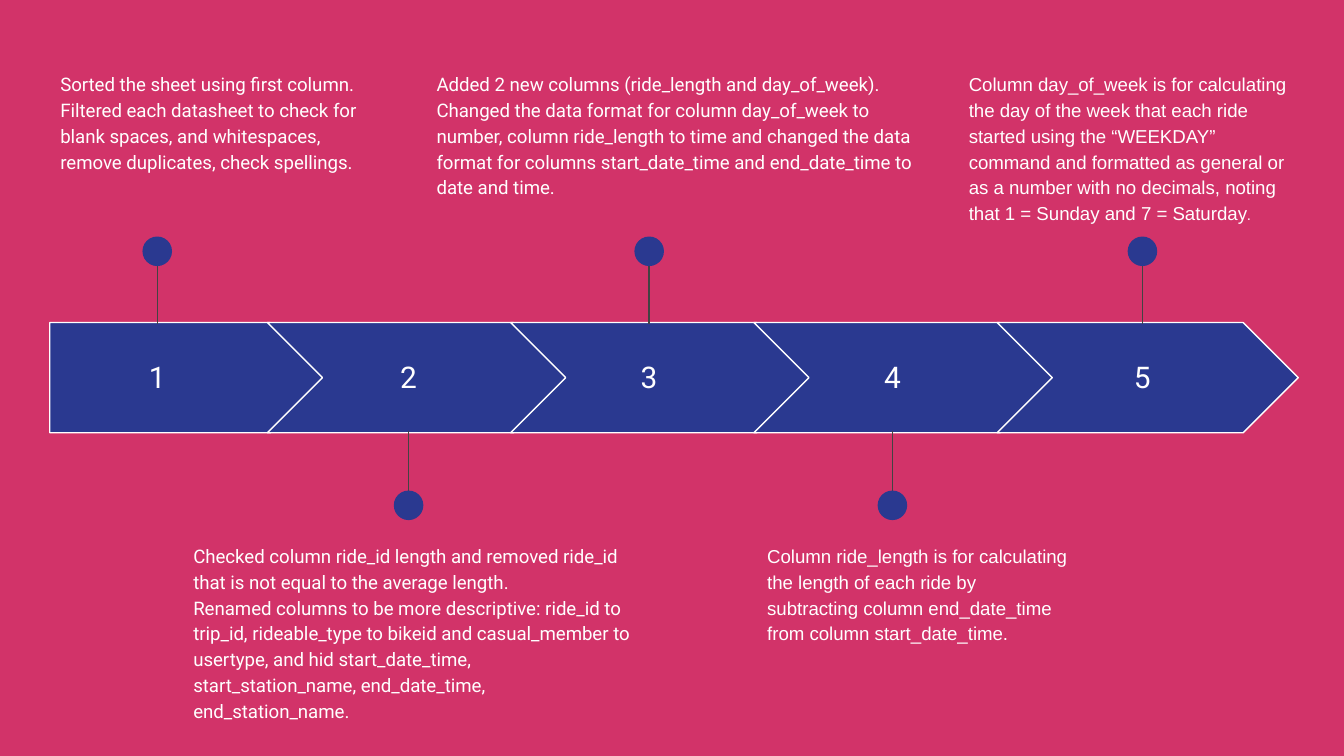
"""Build a five-step data cleaning timeline slide."""
from lxml.etree import SubElement
from pptx import Presentation
from pptx.dml.color import RGBColor
from pptx.enum.shapes import MSO_CONNECTOR, MSO_SHAPE
from pptx.enum.text import MSO_ANCHOR, PP_ALIGN
from pptx.oxml.ns import qn
from pptx.util import Inches, Pt

COLORS = {"background": "D23369", "step": "2A3990", "text": "FFFFFF", "stem": "434343"}

STEPS = [
    (1.17, True, (0.35, 2.45, 1.37), "Roboto", [
        "Sorted the sheet using first column. Filtered each datasheet to check for "
        "blank spaces, and whitespaces, remove duplicates, check spellings."]),
    (3.04, False, (1.34, 3.5, 1.53), "Roboto", [
        "Checked column ride_id length and removed ride_id that is not equal to the "
        "average length.",
        "Renamed columns to be more descriptive: ride_id to trip_id, rideable_type to "
        "bikeid and casual_member to usertype, and hid start_date_time, "
        "start_station_name, end_date_time, end_station_name."]),
    (4.83, True, (3.15, 3.8, 1.14), "Roboto", [
        "Added 2 new columns (ride_length and day_of_week). Changed the data format for "
        "column day_of_week to number, column ride_length to time and changed the data "
        "format for columns start_date_time and end_date_time to date and time."]),
    (6.64, False, (5.61, 2.45, 0.95), "Arial", [
        "Column ride_length is for calculating the length of each ride by subtracting "
        "column end_date_time from column start_date_time."]),
    (8.5, True, (7.11, 2.65, 1.76), "Arial", [
        "Column day_of_week is for calculating the day of the week that each ride started "
        "using the “WEEKDAY” command and formatted as general or as a number with no "
        "decimals, noting that 1 = Sunday and 7 = Saturday"]),
]
BAND_TOP, BAND_HEIGHT = 2.4, 0.82
STEP_PITCH = 1.81
DOT_SIZE = 0.22
NUMBER_WIDTH = 1.44

presentation = Presentation()
presentation.slide_width = Inches(10)
presentation.slide_height = Inches(10 * 9 / 16)
slide = presentation.slides.add_slide(presentation.slide_layouts[6])
slide.background.fill.solid()
slide.background.fill.fore_color.rgb = RGBColor.from_string(COLORS["background"])


def add_blue_shape(kind, left, top, width, height):
    shape = slide.shapes.add_shape(
        kind, Inches(left), Inches(top), Inches(width), Inches(height))
    shape.shadow.inherit = False
    shape.fill.solid()
    shape.fill.fore_color.rgb = RGBColor.from_string(COLORS["step"])
    return shape


def add_label(left, top, width, height, lines, font_name, size):
    label = slide.shapes.add_textbox(
        Inches(left), Inches(top), Inches(width), Inches(height))
    frame = label.text_frame
    frame.word_wrap = True
    frame.margin_left = frame.margin_right = Inches(0.1)
    frame.margin_top = frame.margin_bottom = Inches(0.1)
    frame.text = "\n".join(lines)
    for paragraph in frame.paragraphs:
        for run in paragraph.runs:
            run.font.name = font_name
            run.font.size = Pt(size)
            run.font.color.rgb = RGBColor.from_string(COLORS["text"])
    return frame


for index, (center, above, (left, width, height), font_name, lines) in enumerate(STEPS):
    if index == 0:
        arrow = add_blue_shape(MSO_SHAPE.PENTAGON, 0.37, BAND_TOP, 2.05, BAND_HEIGHT)
    else:
        arrow_left = 1.99 + STEP_PITCH * (index - 1)
        arrow = add_blue_shape(MSO_SHAPE.CHEVRON, arrow_left, BAND_TOP, 2.24, BAND_HEIGHT)
    arrow.adjustments[0] = 0.5
    arrow.line.color.rgb = RGBColor.from_string(COLORS["text"])
    arrow.line.width = Pt(0.75)

    number = add_label(center - NUMBER_WIDTH / 2, 2.55, NUMBER_WIDTH, 0.51,
                       [str(index + 1)], "Roboto", 16)
    number.vertical_anchor = MSO_ANCHOR.MIDDLE
    number.paragraphs[0].alignment = PP_ALIGN.CENTER

    stem_start, stem_end, dot_top, note_top = (
        (1.8, 2.41, 1.76, 0.42) if above else (3.82, 3.21, 3.65, 3.93))
    stem = slide.shapes.add_connector(
        MSO_CONNECTOR.STRAIGHT, Inches(center), Inches(stem_start),
        Inches(center), Inches(stem_end))
    stem.line.color.rgb = RGBColor.from_string(COLORS["stem"])
    stem.line.width = Pt(0.75)
    SubElement(stem._element.spPr, qn("a:effectLst"))

    dot = add_blue_shape(MSO_SHAPE.OVAL, center - DOT_SIZE / 2, dot_top, DOT_SIZE, DOT_SIZE)
    dot.line.fill.background()

    note = add_label(left, note_top, width, height, lines, font_name, 10)
    for paragraph in note.paragraphs:
        paragraph.line_spacing = 1.15

full_stop = note.paragraphs[-1].add_run()
full_stop.text = "."
full_stop.font.name = "Arial"
full_stop.font.size = Pt(8)
full_stop.font.color.rgb = RGBColor.from_string(COLORS["text"])

presentation.save("out.pptx")
